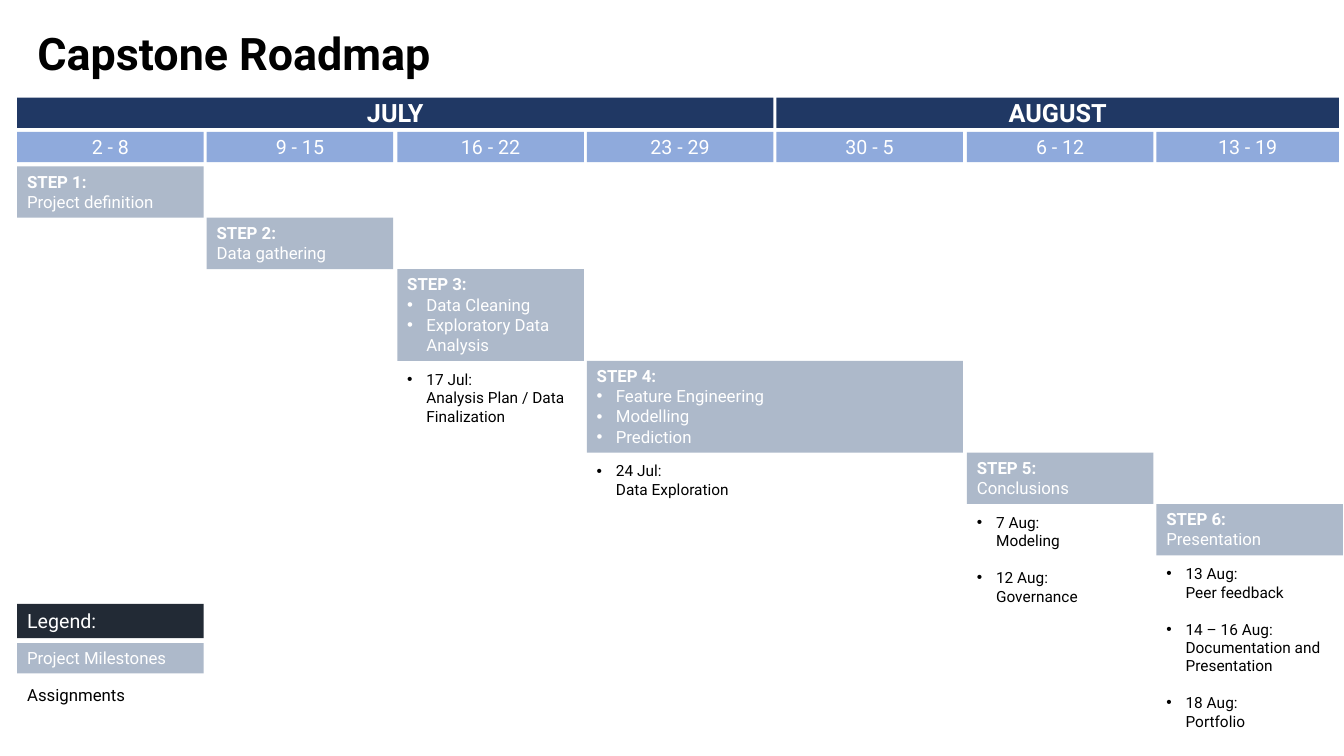
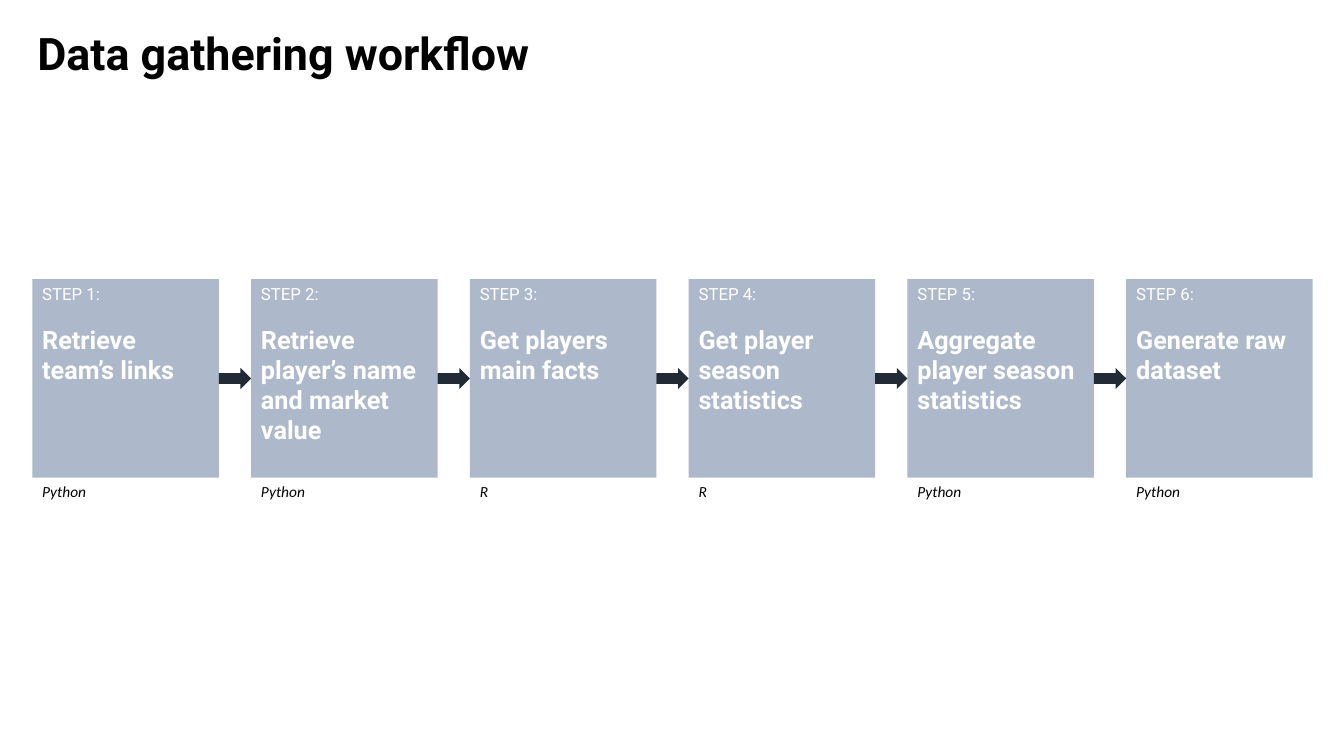
from pptx import Presentation
from pptx.dml.color import RGBColor
from pptx.enum.shapes import MSO_SHAPE as Kind
from pptx.enum.text import MSO_ANCHOR as Anchor, MSO_AUTO_SIZE as Fit, PP_ALIGN as Align
from pptx.oxml.ns import qn
from pptx.util import Pt
from lxml.etree import SubElement

SCALE = 9144
NAVY = RGBColor(0x20, 0x38, 0x64)
BLUE = RGBColor(0x8F, 0xAA, 0xDC)
GREY = RGBColor(0xAD, 0xB9, 0xCA)
DARK = RGBColor(0x22, 0x2A, 0x35)
WHITE = RGBColor(0xFF, 0xFF, 0xFF)
BLACK = RGBColor(0, 0, 0)
FONT = "Roboto"
INDENT = 19

MONTHS = [("JULY", 0, 750), ("AUGUST", 4, 558)]
WEEKS = ["2 - 8", "9 - 15", "16 - 22", "23 - 29", "30 - 5", "6 - 12", "13 - 19"]
STEPS = [
    (0, 185, ["Project definition"], []),
    (1, 185, ["Data gathering"], []),
    (2, 185, ["Data Cleaning", "Exploratory Data Analysis"],
     [("17 Jul:", "Analysis Plan / Data Finalization")]),
    (3, 373, ["Feature Engineering", "Modelling", "Prediction"],
     [("24 Jul:", "Data Exploration")]),
    (5, 185, ["Conclusions"],
     [("7 Aug:", "Modeling"), ("12 Aug:", "Governance")]),
    (6, 185, ["Presentation"],
     [("13 Aug:", "Peer feedback"),
      ("14 – 16 Aug:", "Documentation and", "Presentation"),
      ("18 Aug:", "Portfolio")]),
]
TASKS = [
    ("Retrieve team’s links", "Python"),
    ("Retrieve player’s name and market value", "Python"),
    ("Get players main facts", "R"),
    ("Get player season statistics", "R"),
    ("Aggregate player season statistics", "Python"),
    ("Generate raw dataset", "Python"),
]


def px(n):
    return n * SCALE


def style(para, size, color, bold=False, italic=False, font=FONT):
    for run in para.runs:
        face = run.font
        face.size, face.name = Pt(size), font
        face.bold, face.italic = bold, italic
        face.color.rgb = color


def line(frame, text, size, color, **look):
    para = frame.paragraphs[0]
    if para.runs:
        para = frame.add_paragraph()
    para.text = text
    para.alignment = Align.LEFT
    style(para, size, color, **look)
    return para


def inset(para, dot):
    props = para._p.get_or_add_pPr()
    props.set("marL", str(px(INDENT)))
    props.set("indent", str(px(-INDENT if dot else 0)))
    if dot:
        SubElement(props, qn("a:buFont")).set("typeface", "Arial")
        SubElement(props, qn("a:buChar")).set("char", "•")


def block(slide, x, y, w, h, fill, kind=Kind.RECTANGLE):
    shape = slide.shapes.add_shape(kind, px(x), px(y), px(w), px(h))
    shape.shadow.inherit = False
    shape.fill.solid()
    shape.fill.fore_color.rgb = fill
    shape.line.fill.background()
    frame = shape.text_frame
    frame.word_wrap = True
    frame.vertical_anchor = Anchor.TOP
    return frame


def note(slide, x, y, w, h):
    frame = slide.shapes.add_textbox(px(x), px(y), px(w), px(h)).text_frame
    frame.word_wrap = True
    return frame


def band(slide, x, y, w, text, size, fill, bold=False):
    frame = block(slide, x, y, w, 30, fill)
    frame.vertical_anchor = Anchor.MIDDLE
    line(frame, text, size, WHITE, bold=bold).alignment = Align.CENTER


def page(deck, text):
    slide = deck.slides.add_slide(deck.slide_layouts[5])
    title = slide.shapes.title
    title.left, title.top, title.width, title.height = map(px, (27, 27, 1150, 73))
    frame = title.text_frame
    frame.auto_size = Fit.NONE
    frame.vertical_anchor = Anchor.TOP
    line(frame, text, 32, BLACK, bold=True).line_spacing = 0.9
    return slide


def dates(slide, x, y, w, items):
    rows = sum(map(len, items)) + len(items) - 1
    frame = note(slide, x, y, w, 10 + 19 * rows)
    for i, (day, *rest) in enumerate(items):
        para = line(frame, day, 11, BLACK)
        if i:
            para.space_before = Pt(13)
        inset(para, True)
        for text in rest:
            inset(line(frame, text, 11, BLACK), False)


def roadmap(slide, left, top):
    def col(i):
        return left + round(i * 565 / 3)

    for text, i, w in MONTHS:
        band(slide, col(i), top, w, text, 18, NAVY, True)
    for i, text in enumerate(WEEKS):
        w = 181 if i == len(WEEKS) - 1 else 185
        band(slide, col(i), top + 34, w, text, 14, BLUE)
    y = top + 68
    for n, (i, w, parts, due) in enumerate(STEPS, 1):
        many = len(parts) > 1
        h = 91 if many else 51
        frame = block(slide, col(i), y, w, h, GREY)
        line(frame, f"STEP {n}:", 12, WHITE, bold=True)
        for text in parts:
            para = line(frame, text, 12, WHITE)
            if many:
                inset(para, True)
        y += h
        if due:
            dates(slide, col(i), y + 4, 185, due)


def legend(slide, left, top):
    w = 185
    line(block(slide, left, top, w, 34, DARK), "Legend:", 14, WHITE)
    line(block(slide, left, top + 39, w, 30, GREY), "Project Milestones", 12, WHITE)
    line(note(slide, left, top + 75, w, 30), "Assignments", 12, BLACK)


def flow(slide, left, top):
    w, h, gap = 185, 197, 32
    for i, (task, tool) in enumerate(TASKS):
        x = left + i * (w + gap)
        frame = block(slide, x, top, w, h, GREY)
        line(frame, f"STEP {i + 1}:", 12, WHITE)
        line(frame, task, 18, WHITE, bold=True).space_before = Pt(14)
        line(note(slide, x, top + h - 1, 152, 29), tool, 11, BLACK,
             italic=True, font="Calibri")
        if i:
            block(slide, x - gap, top + 88, gap, 21, DARK, Kind.RIGHT_ARROW)


def main():
    deck = Presentation()
    deck.slide_width, deck.slide_height = px(1333), px(750)
    slide = page(deck, "Capstone Roadmap")
    roadmap(slide, 17, 97)
    legend(slide, 17, 599)
    flow(page(deck, "Data gathering workflow"), 32, 277)
    deck.save("out.pptx")


if __name__ == "__main__":
    main()
